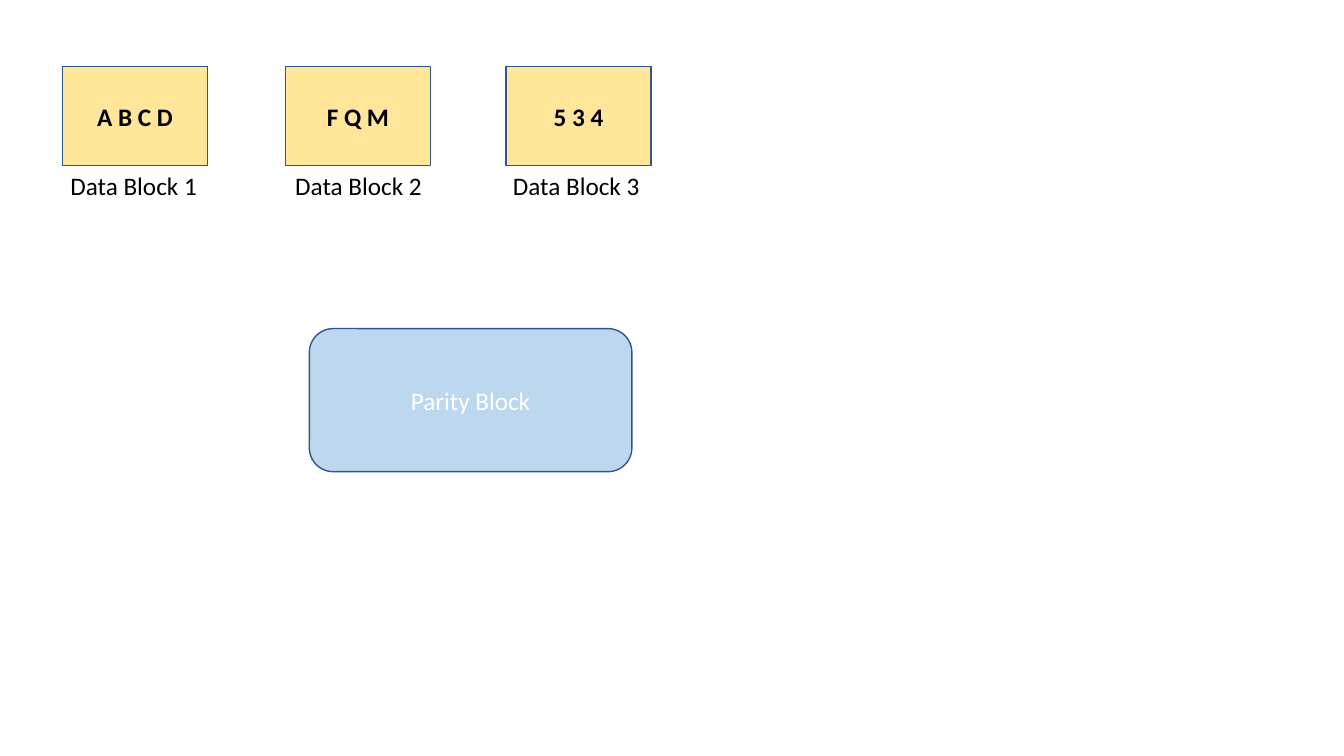
from pptx import Presentation
from pptx import util as u
from pptx.dml import color
from pptx.enum import shapes, text

COLORS = {
    "data": "FFE699",
    "parity": "BDD7EE",
    "outline": "325491",
    "dark": "000000",
    "light": "FFFFFF",
}
DATA_BLOCKS = [
    ("A B C D", "Data Block 1", 44.6, 43.2),
    ("F Q M", "Data Block 2", 203.8, 203.8),
    ("5 3 4", "Data Block 3", 361.4, 359.3),
]
ROW_TOP, BLOCK_WIDTH, BLOCK_HEIGHT = 47.5, 103.7, 70.6
LABEL_WIDTH, LABEL_HEIGHT = 105.8, 28.8


def rgb(name):
    return color.RGBColor.from_string(COLORS[name])


def write(shape, words, ink, bold=False):
    shape.text_frame.text = words
    para = shape.text_frame.paragraphs[0]
    for span in para.runs:
        span.font.name = "Calibri"
        span.font.size = u.Pt(18)
        span.font.bold = bold
        span.font.color.rgb = rgb(ink)
    return para


def add_block(page, kind, box, fill, words, ink, bold=False):
    block = page.shapes.add_shape(kind, *map(u.Pt, box))
    block.shadow.inherit = False
    block.fill.solid()
    block.fill.fore_color.rgb = rgb(fill)
    block.line.color.rgb = rgb("outline")
    block.line.width = u.Pt(1)
    block.text_frame.vertical_anchor = text.MSO_ANCHOR.MIDDLE
    write(block, words, ink, bold).alignment = text.PP_ALIGN.CENTER


def add_data_block(page, box, label_left, words, caption):
    left, top, width, height = box
    add_block(page, shapes.MSO_SHAPE.RECTANGLE, box, "data", words, "dark", True)
    label_box = (label_left, top + height, LABEL_WIDTH, LABEL_HEIGHT)
    label = page.shapes.add_textbox(*map(u.Pt, label_box))
    label.text_frame.word_wrap = False
    label.text_frame.auto_size = text.MSO_AUTO_SIZE.SHAPE_TO_FIT_TEXT
    write(label, caption, "dark")


def add_parity_block(page, box):
    add_block(page, shapes.MSO_SHAPE.ROUNDED_RECTANGLE, box, "parity", "Parity Block", "light")


def main():
    deck = Presentation()
    deck.slide_width, deck.slide_height = u.Pt(960), u.Pt(540)
    page = deck.slides.add_slide(deck.slide_layouts[6])
    for words, caption, left, label_left in DATA_BLOCKS:
        box = (left, ROW_TOP, BLOCK_WIDTH, BLOCK_HEIGHT)
        add_data_block(page, box, label_left, words, caption)
    add_parity_block(page, (221, 234.7, 230.4, 102.2))
    deck.save("out.pptx")


if __name__ == "__main__":
    main()
